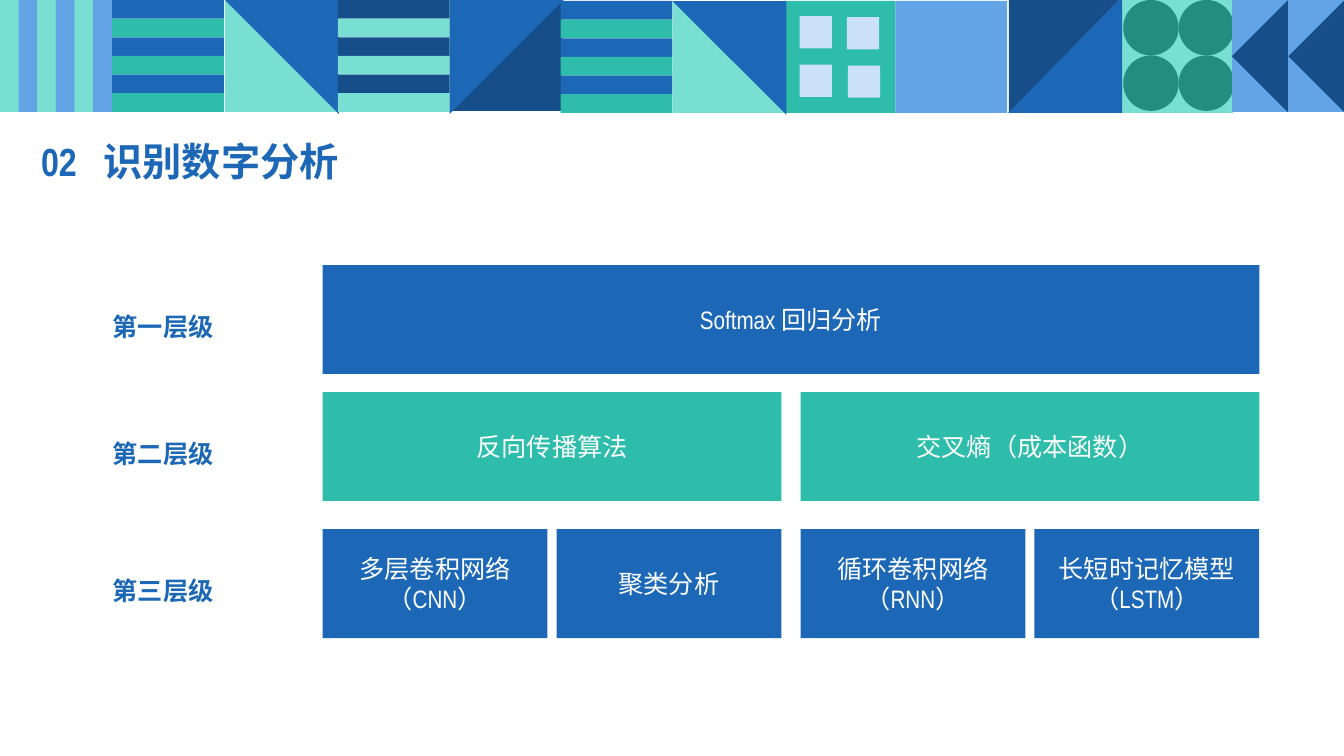
"""Build the slide on the levels of digit recognition analysis."""
from dataclasses import dataclass

import lxml.etree
import pptx
import pptx.dml.color
import pptx.enum.shapes
import pptx.enum.text
import pptx.oxml.ns
import pptx.shapes.autoshape
import pptx.slide
import pptx.text.text
import pptx.util

Inches = pptx.util.Inches
Kind = pptx.enum.shapes.MSO_SHAPE
Align = pptx.enum.text.PP_ALIGN
Anchor = pptx.enum.text.MSO_ANCHOR

COLORS = {
    "blue": "1C68B6", "navy": "154E88", "sky": "63A4E7", "ice": "CBE1F7",
    "teal": "2DBDAA", "mint": "79DFD2", "green": "228E80", "white": "FFFFFF",
}
FONT = "Arial Narrow"
TILE = 1.11
STRIPES = 6
STRIPE = TILE / STRIPES
DOT = 0.55
BAR_LEFT = 3.2
BAR_RIGHT = 12.49
BAR_HEIGHT = 1.08
HALF_WIDTH = 4.55
QUARTER_WIDTH = 2.23


@dataclass
class Block:
    left: float
    top: float
    width: float
    height: float
    color: str
    kind: Kind = Kind.RECTANGLE
    rotation: float = 0


@dataclass
class Level:
    label: str
    top: float
    color: str
    bar_width: float
    bars: list[str]


LEVELS = [
    Level("第一层级", 2.63, "blue", BAR_RIGHT - BAR_LEFT, ["Softmax 回归分析"]),
    Level("第二层级", 3.89, "teal", HALF_WIDTH, ["反向传播算法", "交叉熵（成本函数）"]),
    Level("第三层级", 5.25, "blue", QUARTER_WIDTH,
          ["多层卷积网络（CNN）", "聚类分析", "循环卷积网络（RNN）", "长短时记忆模型（LSTM）"]),
]


def horizontal_stripes(left: float, top: float, first: str, second: str) -> list[Block]:
    return [Block(left, top + row * STRIPE, TILE, STRIPE, (first, second)[row % 2])
            for row in range(STRIPES)]


def vertical_stripes(left: float, first: str, second: str) -> list[Block]:
    return [Block(left + column * STRIPE, 0, STRIPE, TILE, (first, second)[column % 2])
            for column in range(STRIPES)]


def triangle_pair(left: float, top: float) -> list[Block]:
    return [
        Block(left, top, TILE, TILE, "mint", Kind.RIGHT_TRIANGLE),
        Block(left, top, 1.13, 1.13, "blue", Kind.RIGHT_TRIANGLE, 180),
    ]


def banner_blocks() -> list[Block]:
    windows = [Block(left, top, 0.32, 0.32, "ice")
               for left, top in ((8.4, 0.17), (7.93, 0.16), (8.41, 0.65), (7.93, 0.64))]
    dots = [Block(11.14 + column * DOT, row * DOT, DOT, DOT, "green", Kind.OVAL)
            for row in range(2) for column in range(2)]
    arrows = [Block(left, 0.28, TILE, TILE / 2, "navy", Kind.ISOSCELES_TRIANGLE, 270)
              for left in (11.94, 12.5)]
    return [
        *horizontal_stripes(TILE, 0, "blue", "teal"),
        *triangle_pair(2.23, 0),
        Block(0, 0, TILE, TILE, "mint"),
        *vertical_stripes(0, "mint", "sky"),
        *horizontal_stripes(3.35, 0, "navy", "mint"),
        Block(7.77, 0.01, TILE, TILE, "teal"),
        *windows,
        Block(8.88, 0.01, TILE, TILE, "sky"),
        Block(11.12, 0, TILE, 1.12, "mint"),
        *dots,
        Block(9.99, 0, 1.14, TILE, "navy", Kind.RIGHT_TRIANGLE, 90),
        Block(9.99, -0.02, 1.15, 1.13, "blue", Kind.RIGHT_TRIANGLE, 270),
        Block(4.47, -0.01, TILE, TILE, "navy", Kind.RIGHT_TRIANGLE, 270),
        Block(4.46, 0, 1.13, 1.13, "blue", Kind.RIGHT_TRIANGLE, 90),
        Block(12.22, 0, TILE, TILE, "sky"),
        *arrows,
        *horizontal_stripes(5.56, 0.01, "blue", "teal"),
        *triangle_pair(6.67, 0.01),
    ]


def draw_block(slide: pptx.slide.Slide, block: Block) -> pptx.shapes.autoshape.Shape:
    shape = slide.shapes.add_shape(
        block.kind, Inches(block.left), Inches(block.top),
        Inches(block.width), Inches(block.height))
    shape.rotation = block.rotation
    shape.shadow.inherit = False
    shape.fill.solid()
    shape.fill.fore_color.rgb = pptx.dml.color.RGBColor.from_string(COLORS[block.color])
    shape.line.fill.background()
    return shape


def write_text(shape: pptx.shapes.autoshape.Shape, text: str, *, size: float = 18,
               color: str = "blue", bold: bool = False, align: Align = Align.LEFT,
               anchor: Anchor = Anchor.MIDDLE, wrap: bool = True,
               line_spacing: float = 1.0, space_before: float = 0) -> pptx.text.text._Paragraph:
    frame = shape.text_frame
    frame.word_wrap = wrap
    frame.vertical_anchor = anchor
    paragraph = frame.paragraphs[0]
    paragraph.alignment = align
    paragraph.line_spacing = line_spacing
    paragraph.space_before = pptx.util.Pt(space_before)
    run = paragraph.add_run()
    run.text = text
    run.font.size = pptx.util.Pt(size)
    run.font.bold = bold
    run.font.name = FONT
    run.font.color.rgb = pptx.dml.color.RGBColor.from_string(COLORS[color])
    properties = run._r.get_or_add_rPr()
    properties.set("lang", "zh-CN")
    lxml.etree.SubElement(properties, pptx.oxml.ns.qn("a:ea"), typeface=FONT)
    return paragraph


def add_tab_stop(paragraph: pptx.text.text._Paragraph, position: float) -> None:
    properties = paragraph._p.get_or_add_pPr()
    stops = lxml.etree.SubElement(properties, pptx.oxml.ns.qn("a:tabLst"))
    lxml.etree.SubElement(stops, pptx.oxml.ns.qn("a:tab"), pos=str(Inches(position)), algn="l")


def draw_title(slide: pptx.slide.Slide) -> None:
    title = slide.shapes.add_textbox(Inches(0.31), Inches(1.31), Inches(3.84), Inches(0.63))
    paragraph = write_text(title, "02\t识别数字分析", size=28, bold=True,
                           line_spacing=0.9, space_before=10)
    add_tab_stop(paragraph, 0.62)


def draw_level(slide: pptx.slide.Slide, level: Level) -> None:
    half_pitch = BAR_RIGHT - HALF_WIDTH - BAR_LEFT
    quarter_pitch = HALF_WIDTH - QUARTER_WIDTH
    bars_per_half = max(1, len(level.bars) // 2)
    for index, text in enumerate(level.bars):
        half, quarter = divmod(index, bars_per_half)
        left = BAR_LEFT + half * half_pitch + quarter * quarter_pitch
        bar = draw_block(slide, Block(left, level.top, level.bar_width, BAR_HEIGHT, level.color))
        write_text(bar, text, color="white", align=Align.CENTER)
    label = slide.shapes.add_textbox(
        Inches(1.02), Inches(level.top + 0.26), Inches(1.21), Inches(0.56))
    write_text(label, level.label, bold=True, anchor=Anchor.TOP, wrap=False, line_spacing=1.5)


def main() -> None:
    presentation = pptx.Presentation()
    presentation.slide_width = Inches(13.33)
    presentation.slide_height = Inches(7.5)
    slide = presentation.slides.add_slide(presentation.slide_layouts[6])
    for block in banner_blocks():
        draw_block(slide, block)
    draw_title(slide)
    for level in LEVELS:
        draw_level(slide, level)
    presentation.save("out.pptx")


if __name__ == "__main__":
    main()
